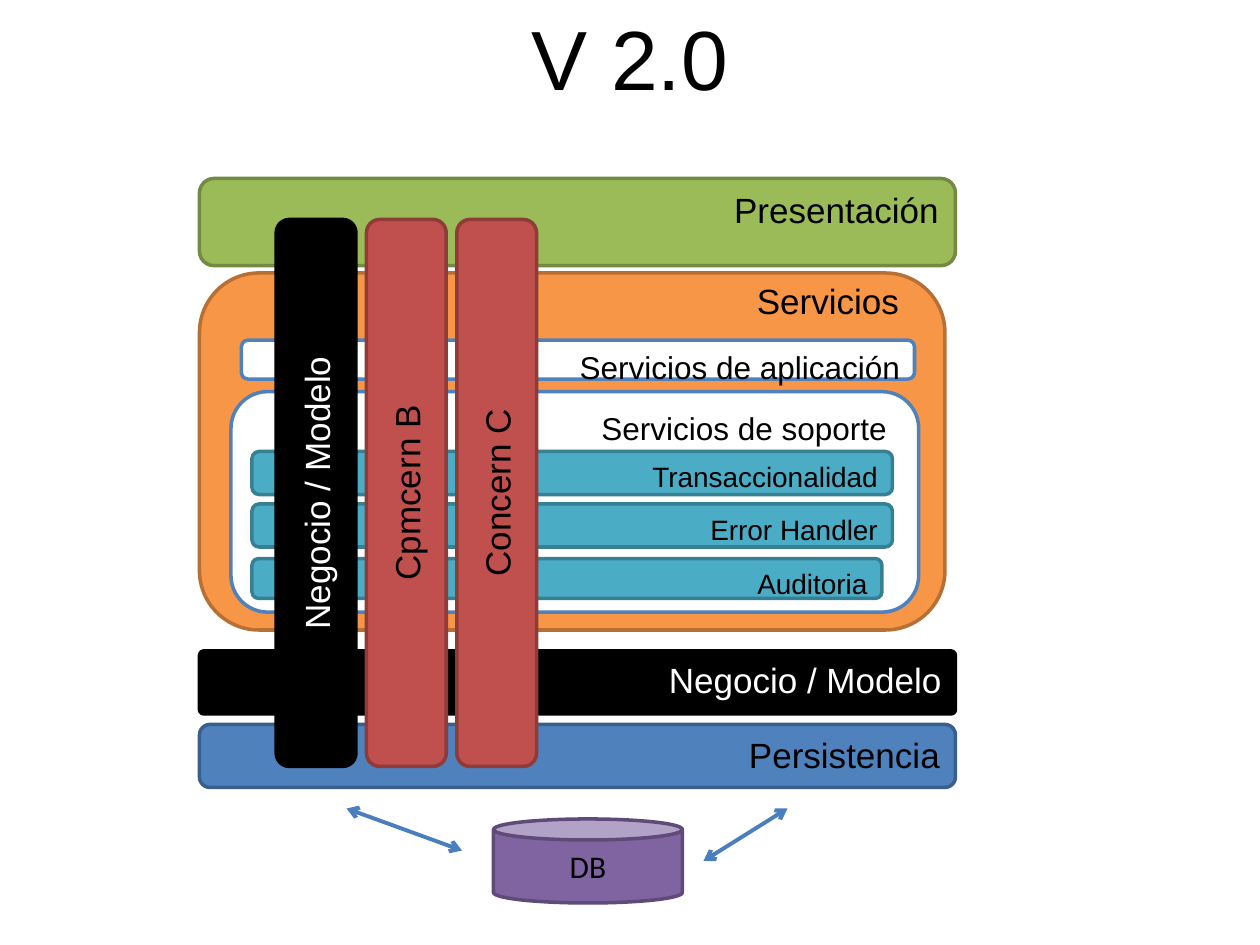
from lxml import etree
from pptx import Presentation
from pptx.dml.color import RGBColor
from pptx.enum.shapes import MSO_CONNECTOR, MSO_SHAPE
from pptx.enum.text import MSO_ANCHOR, MSO_AUTO_SIZE, PP_ALIGN
from pptx.oxml.ns import qn
from pptx.util import Inches, Pt

ROUND, CAN = MSO_SHAPE.ROUNDED_RECTANGLE, MSO_SHAPE.CAN
LINE = MSO_CONNECTOR.STRAIGHT
TOP, MIDDLE = MSO_ANCHOR.TOP, MSO_ANCHOR.MIDDLE
LEFT, CENTER, RIGHT = PP_ALIGN.LEFT, PP_ALIGN.CENTER, PP_ALIGN.RIGHT
GROW = MSO_AUTO_SIZE.SHAPE_TO_FIT_TEXT

BLACK = RGBColor(0x00, 0x00, 0x00)
WHITE = RGBColor(0xFF, 0xFF, 0xFF)
ORANGE = RGBColor(0xF7, 0x96, 0x46)
RUST = RGBColor(0xB7, 0x6F, 0x34)
GREEN = RGBColor(0x9B, 0xBB, 0x59)
OLIVE = RGBColor(0x73, 0x8A, 0x42)
BLUE = RGBColor(0x4F, 0x81, 0xBD)
NAVY = RGBColor(0x3A, 0x5F, 0x8C)
TEAL = RGBColor(0x4B, 0xAC, 0xC6)
PINE = RGBColor(0x37, 0x7F, 0x92)
RED = RGBColor(0xC0, 0x50, 0x4D)
WINE = RGBColor(0x8E, 0x3B, 0x39)
PURPLE = RGBColor(0x80, 0x64, 0xA2)
PLUM = RGBColor(0x5F, 0x4A, 0x78)
ARROW = RGBColor(0x4B, 0x7E, 0xBC)

COLS, ROWS = 120, 90


class Board:
    font = "Arial"
    edge = Pt(2)

    def __init__(self, deck):
        self.wide, self.high = deck.slide_width, deck.slide_height
        self.slide = deck.slides.add_slide(deck.slide_layouts[5])

    def grid(self, x, y, w, h):
        return (round(x * self.wide / COLS), round(y * self.high / ROWS),
                round(w * self.wide / COLS), round(h * self.high / ROWS))

    def words(self, shape, text, size, color=BLACK, align=RIGHT,
              anchor=TOP, font=None, wrap=True):
        frame = shape.text_frame
        frame.word_wrap = wrap
        frame.vertical_anchor = anchor
        par = frame.paragraphs[0]
        par.alignment = align
        run = par.add_run()
        run.text = text
        run.font.name = font or self.font
        run.font.size = Pt(size)
        run.font.color.rgb = color

    def title(self, text, box):
        shape = self.slide.shapes.title
        shape.left, shape.top, shape.width, shape.height = self.grid(*box)
        self.words(shape, text, 48, align=CENTER)
        shape.text_frame.auto_size = GROW

    def label(self, text, box, size):
        shape = self.slide.shapes.add_textbox(*self.grid(*box))
        self.words(shape, text, size, align=LEFT, wrap=False)
        shape.text_frame.auto_size = GROW

    def block(self, box, fill, line, kind=ROUND, bend=None):
        shape = self.slide.shapes.add_shape(kind, *self.grid(*box))
        shape.shadow.inherit = False
        shape.fill.solid()
        shape.fill.fore_color.rgb = fill
        shape.line.color.rgb = line
        shape.line.width = self.edge
        if bend is not None:
            shape.adjustments[0] = bend
        return shape

    def layer(self, text, box, fill, line, size=20, color=BLACK, bend=None):
        shape = self.block(box, fill, line, bend=bend)
        self.words(shape, text, size, color)

    def pillar(self, text, box, fill, line, color):
        shape = self.block(box, fill, line)
        self.words(shape, text, 20, color, CENTER, MIDDLE)
        shape.text_frame._txBody.bodyPr.set("vert", "vert270")

    def store(self, text, box):
        shape = self.block(box, PURPLE, PLUM, CAN)
        self.words(shape, text, 18, align=CENTER, anchor=MIDDLE,
                   font="Calibri")

    def arrow(self, start, end):
        link = self.slide.shapes.add_connector(
            LINE, *self.grid(*start, *end))
        link.line.color.rgb = ARROW
        link.line.width = Pt(2.25)
        props = link._element.spPr
        line = props.find(qn("a:ln"))
        for tag in ("a:headEnd", "a:tailEnd"):
            etree.SubElement(line, qn(tag)).set("type", "arrow")
        etree.SubElement(props, qn("a:effectLst"))


def main():
    deck = Presentation()
    deck.slide_width, deck.slide_height = Inches(10), Inches(7.5)
    board = Board(deck)
    board.title("V 2.0", (0, 0, COLS, 10.9))

    board.block((19, 26, 71, 34), ORANGE, RUST)
    board.layer("Servicios de aplicación", (23, 32.4, 64.1, 3.7),
                WHITE, BLUE, 18)
    board.layer(" Servicios de soporte ", (22, 37.3, 65.5, 21),
                WHITE, BLUE, 18)

    for text, y, h, fill, line, color, bend in (
            ("Presentación", 17, 8.3, GREEN, OLIVE, BLACK, None),
            ("Negocio / Modelo", 62, 6, BLACK, BLACK, WHITE, 0.07),
            ("Persistencia", 69, 6, BLUE, NAVY, BLACK, None)):
        board.layer(text, (19, y, 72, h), fill, line, 20, color, bend)

    for text, y, w, h in (("Transaccionalidad", 43, 61, 4.1),
                          ("Error Handler", 48, 61, 4.1),
                          ("Auditoria", 53.2, 60, 3.8)):
        board.layer(text, (24, y, w, h), TEAL, PINE, 16)

    for i, (text, fill, line, color) in enumerate((
            ("Negocio / Modelo", BLACK, BLACK, WHITE),
            ("Cpmcern B", RED, WINE, BLACK),
            ("Concern C", RED, WINE, BLACK))):
        board.pillar(text, (26.3 + 8.6 * i, 20.9, 7.6, 52.1),
                     fill, line, color)

    board.label("Servicios", (70.9, 26, 16.1, 5.3), 20)
    board.store("DB", (47, 78, 18, 8))
    board.arrow((33, 77), (44, 81))
    board.arrow((67, 82), (75, 77))
    deck.save("out.pptx")


if __name__ == "__main__":
    main()
